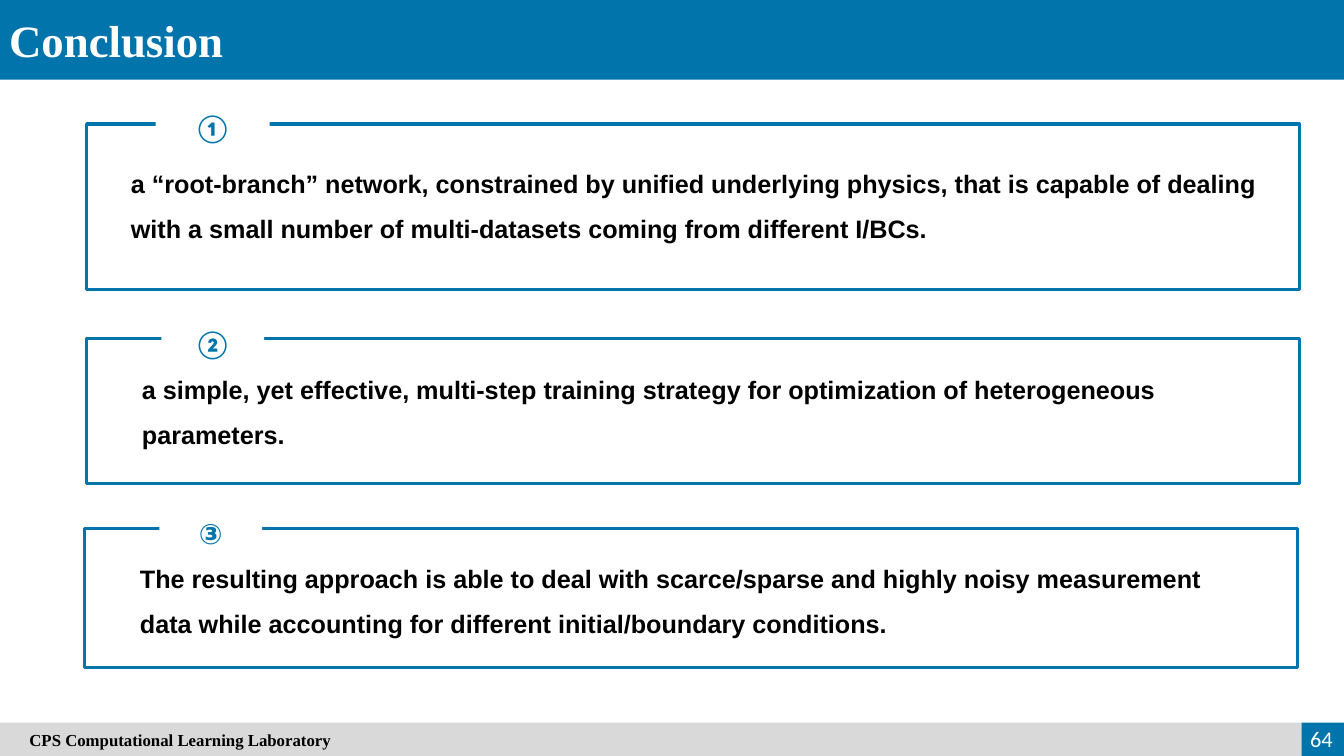
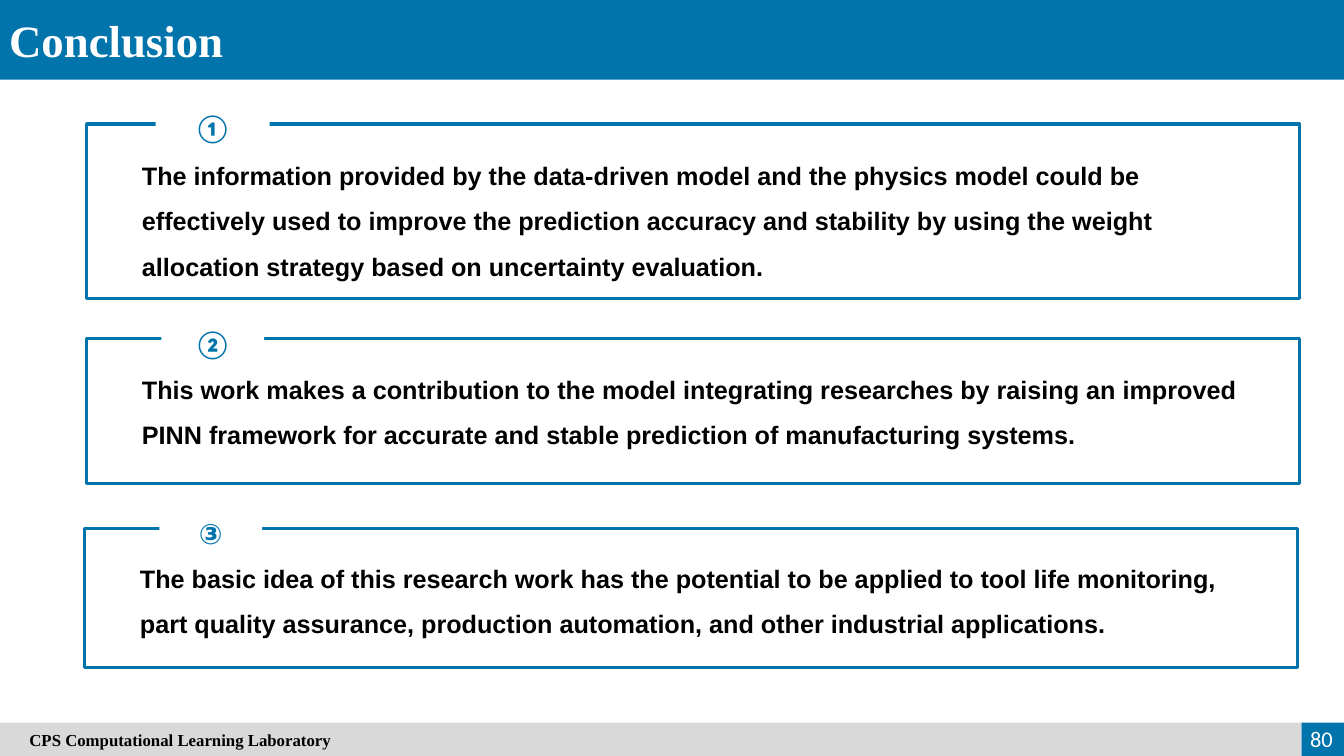
"""Build two conclusion slides with numbered, framed points."""
from dataclasses import dataclass

from pptx import Presentation
from pptx.dml.color import RGBColor
from pptx.enum.shapes import MSO_SHAPE
from pptx.enum.text import MSO_ANCHOR, MSO_AUTO_SIZE, PP_ALIGN
from pptx.util import Inches, Pt


@dataclass(frozen=True)
class Style:
    """Hold the look of one kind of text."""
    font: str
    size: int
    color: str
    bold: bool = True
    align: PP_ALIGN = PP_ALIGN.LEFT
    anchor: MSO_ANCHOR = MSO_ANCHOR.MIDDLE
    space: float = 1.0


class Theme:
    """Keep the colours, type and grid of the deck."""
    wide, high = Inches(13.333), Inches(7.5)
    cols, rows = 160, 90
    blue, gray, white, black = "0174AB", "D9D9D9", "FFFFFF", "000000"
    line = 2.25
    title = Style("Times New Roman", 32, white, align=PP_ALIGN.JUSTIFY, anchor=MSO_ANCHOR.TOP)
    foot = Style("Times New Roman", 12, black)
    page = Style("Calibri", 16, white, bold=False, align=PP_ALIGN.RIGHT)
    point = Style("Arial", 18, black, anchor=MSO_ANCHOR.TOP, space=1.5)
    badge = Style("Calibri", 20, blue, align=PP_ALIGN.CENTER)
    small = Style("Arial", 20, blue, align=PP_ALIGN.CENTER)


@dataclass(frozen=True)
class Panel:
    """Hold the frame, badge and text inset of one point, in grid units."""
    mark: str
    left: float
    top: float
    high: float
    badge: tuple = (12.24, 6.24, 2.52)
    style: Style = Theme.badge
    inset: tuple = (5.4, 1.8, 135.12, 12.12)


def area(left, top, wide, high):
    """Turn columns and rows into slide lengths."""
    col, row = Theme.wide / Theme.cols, Theme.high / Theme.rows
    return [int(n) for n in (left * col, top * row, wide * col, high * row)]


def write(shape, words, style):
    """Set the text of a shape in the given style."""
    frame = shape.text_frame
    frame.text = words
    frame.word_wrap = True
    frame.auto_size = MSO_AUTO_SIZE.NONE
    frame.vertical_anchor = style.anchor
    para = frame.paragraphs[0]
    para.alignment = style.align
    para.line_spacing = style.space
    font = para.runs[0].font
    font.name, font.size, font.bold = style.font, Pt(style.size), style.bold
    font.color.rgb = RGBColor.from_string(style.color)


def block(slide, place, fill=None, line=None):
    """Add a plain rectangle with an optional fill and outline."""
    shape = slide.shapes.add_shape(MSO_SHAPE.RECTANGLE, *area(*place))
    shape.shadow.inherit = False
    for paint, color in ((shape.fill, fill), (shape.line.fill, line)):
        if color:
            paint.solid()
            paint.fore_color.rgb = RGBColor.from_string(color)
        else:
            paint.background()
    if line:
        shape.line.width = Pt(Theme.line)
    return shape


def label(slide, place, words, style):
    """Add a text box."""
    write(slide.shapes.add_textbox(*area(*place)), words, style)


def head(slide, words):
    """Set the title on its band."""
    band = block(slide, (0, 0, Theme.cols, 9.48), Theme.blue)
    title = slide.shapes.title
    title.left, title.top, title.width, title.height = area(-0.12, 0.96, 64.44, 7.68)
    write(title, words, Theme.title)
    band.element.addnext(title.element)


def foot(slide, page):
    """Add the footer strip and the page number."""
    top, edge = 86.04, 154.92
    block(slide, (edge, top, Theme.cols - edge, Theme.rows - top), Theme.blue)
    strip = block(slide, (0, top, edge, Theme.rows - top), Theme.gray)
    write(strip, "CPS Computational Learning Laboratory", Theme.foot)
    strip.text_frame.margin_left = area(3.5, 0, 0, 0)[0]
    label(slide, (152.28, 85.56, 7.56, 4.8), page, Theme.page)


def point(slide, panel, words):
    """Add a frame with its badge and text."""
    block(slide, (panel.left, panel.top, 144.36, panel.high), line=Theme.blue)
    wide, high, rise = panel.badge
    place = (panel.left + 15 - wide / 2, panel.top - rise, wide, high)
    write(block(slide, place, Theme.white), panel.mark, panel.style)
    left, top, wide, high = panel.inset
    label(slide, (panel.left + left, panel.top + top, wide, high), words, Theme.point)


def main():
    """Build and save the deck."""
    deck = Presentation()
    deck.slide_width, deck.slide_height = Theme.wide, Theme.high
    large = (13.56, 6.6, 2.88)
    lower = (
        Panel("②", 10.32, 40.32, 17.28),
        Panel("③", 10.08, 62.88, 16.56, style=Theme.small),
    )
    pages = (
        ("64", Panel("①", 10.32, 14.76, 19.68, large, inset=(4.08, 2.88, 137.76, 12.12)), (
            "a “root-branch” network, constrained by unified underlying physics, that is capable "
            "of dealing with a small number of multi-datasets coming from different I/BCs.",
            "a simple, yet effective, multi-step training strategy for optimization of "
            "heterogeneous parameters.",
            "The resulting approach is able to deal with scarce/sparse and highly noisy "
            "measurement data while accounting for different initial/boundary conditions.",
        )),
        ("80", Panel("①", 10.32, 14.76, 20.76, large, inset=(5.4, 1.92, 135.12, 17.52)), (
            "The information provided by the data-driven model and the physics model could be "
            "effectively used to improve the prediction accuracy and stability by using the "
            "weight allocation strategy based on uncertainty evaluation.",
            "This work makes a contribution to the model integrating researches by raising an "
            "improved PINN framework for accurate and stable prediction of manufacturing systems.",
            "The basic idea of this research work has the potential to be applied to tool life "
            "monitoring, part quality assurance, production automation, and other industrial "
            "applications.",
        )),
    )
    for page, first, points in pages:
        slide = deck.slides.add_slide(deck.slide_layouts[5])
        head(slide, "Conclusion")
        foot(slide, page)
        for panel, words in zip((first, *lower), points):
            point(slide, panel, words)
    deck.save("out.pptx")


if __name__ == "__main__":
    main()
